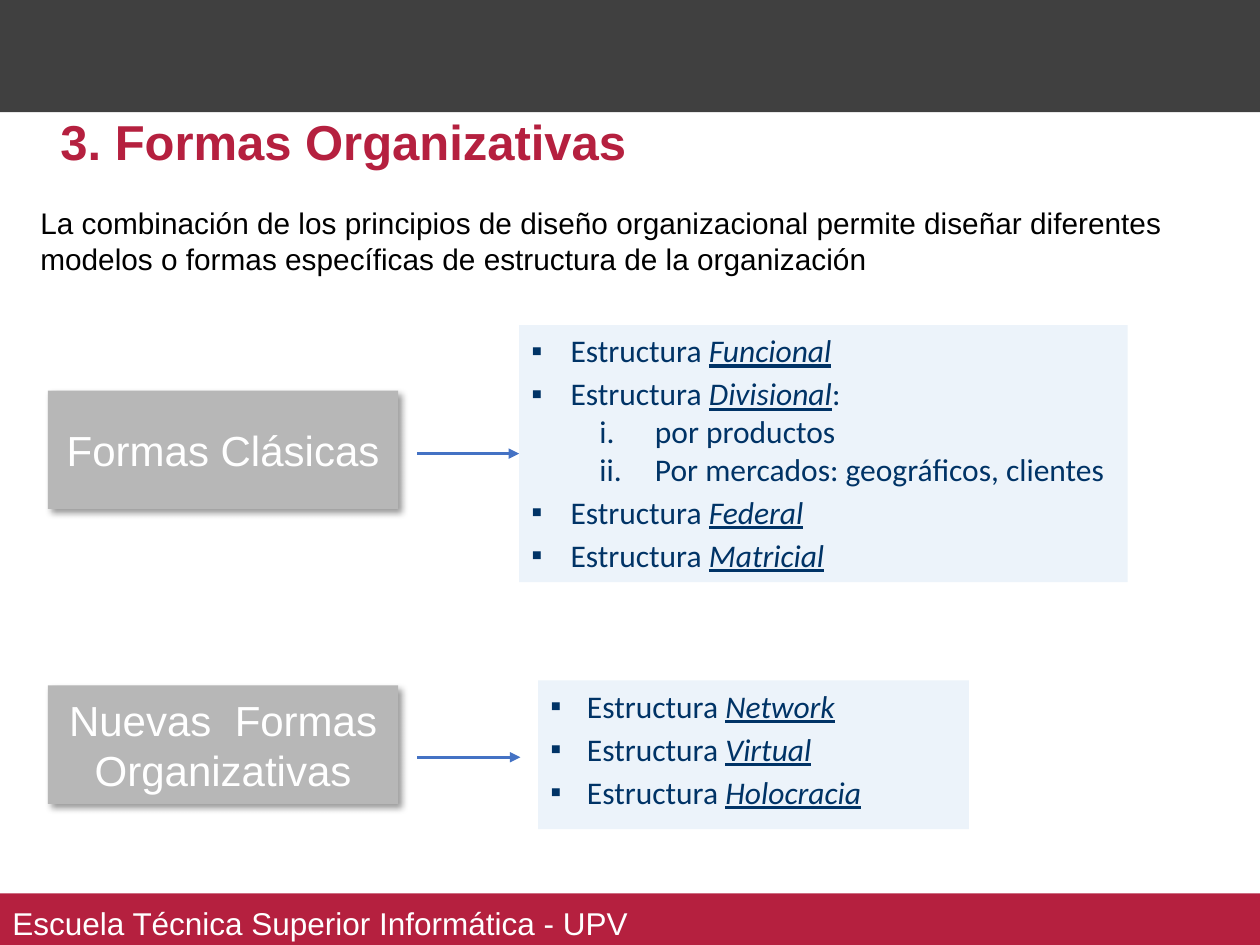
from lxml import etree
from pptx import Presentation
from pptx import util as u
from pptx.dml.color import RGBColor
from pptx.enum import shapes, text
from pptx.oxml.ns import qn

RED = RGBColor(0xB5, 0x20, 0x3F)
DARK = RGBColor(0x40, 0x40, 0x40)
GRAY = RGBColor(0xB7, 0xB7, 0xB7)
PALE = RGBColor(0xEC, 0xF3, 0xFA)
NAVY = RGBColor(0x00, 0x33, 0x66)
BLUE = RGBColor(0x44, 0x72, 0xC4)
WHITE = RGBColor(0xFF, 0xFF, 0xFF)
BLACK = RGBColor(0, 0, 0)

# Content
TITLE = "3. Formas Organizativas"
INTRO = ("La combinación de los principios de diseño organizacional permite diseñar "
         "diferentes modelos o formas específicas de estructura de la organización")
FOOT = "Escuela Técnica Superior Informática - UPV"
LEAD = "Estructura "
# Each group: label, label top, arrow height, list box, list indent, joined, items
# An item is (name, text after it, sub-items)
GROUPS = [
    ("Formas Clásicas", 3.1, 3.6, (4.12, 2.58, 4.83, 2.04), 0.31, True, [
        ("Funcional", "", []),
        ("Divisional", ":", ["por productos", "Por mercados: geográficos, clientes"]),
        ("Federal", "", []),
        ("Matricial", "", []),
    ]),
    ("Nuevas  Formas Organizativas", 5.44, 6.01, (4.27, 5.4, 3.42, 1.18), 0.29, False, [
        ("Network", "", []),
        ("Virtual", "", []),
        ("Holocracia", "", []),
    ]),
]


def place(shape, box):
    shape.left, shape.top, shape.width, shape.height = map(u.Inches, box)


def add_run(para, words, size, color, face="Arial"):
    run = para.add_run()
    run.text = words
    font = run.font
    font.size, font.name, font.color.rgb = u.Pt(size), face, color
    return font


def set_frame(shape, anchor, side=0.1, edge=0.05):
    frame = shape.text_frame
    frame.word_wrap = True
    frame.vertical_anchor = anchor
    frame.margin_left = frame.margin_right = u.Inches(side)
    frame.margin_top = frame.margin_bottom = u.Inches(edge)
    return frame


def add_rect(slide, box, fill):
    rect = slide.shapes.add_shape(shapes.MSO_SHAPE.RECTANGLE, *map(u.Inches, box))
    rect.shadow.inherit = False
    rect.fill.solid()
    rect.fill.fore_color.rgb = fill
    rect.line.fill.background()
    return rect


def add_shade(shape):
    effect = shape.element.spPr.find(qn("a:effectLst"))
    outer = etree.SubElement(effect, qn("a:outerShdw"), blurRad=str(u.Pt(4)),
                             dist=str(u.Pt(3)), dir="2700000", algn="tl", rotWithShape="0")
    color = etree.SubElement(outer, qn("a:srgbClr"), val=str(BLACK))
    etree.SubElement(color, qn("a:alpha"), val="40000")


def set_bullet(para, level, left, hang, tag, **mark):
    para.level = level
    props = para._p.get_or_add_pPr()
    props.set("marL", str(u.Inches(left)))
    props.set("indent", str(-u.Inches(hang)))
    tint = etree.SubElement(props, qn("a:buClr"))
    etree.SubElement(tint, qn("a:srgbClr"), val=str(NAVY))
    etree.SubElement(props, qn("a:buFont"), typeface="Arial" if tag == "a:buChar" else "Calibri")
    etree.SubElement(props, qn(tag), **mark)


def add_list(rect, items, hang):
    frame = set_frame(rect, text.MSO_ANCHOR.TOP)
    for i, (name, tail, subs) in enumerate(items):
        para = frame.add_paragraph() if i else frame.paragraphs[0]
        para.alignment = text.PP_ALIGN.LEFT
        set_bullet(para, 2, hang, hang, "a:buChar", char="▪")
        if i:
            para.space_before = u.Pt(3)
        add_run(para, LEAD, 18, NAVY, "Calibri")
        font = add_run(para, name, 18, NAVY, "Calibri")
        font.italic = font.underline = True
        if tail:
            add_run(para, tail, 18, NAVY, "Calibri")
        for sub in subs:
            para = frame.add_paragraph()
            para.alignment = text.PP_ALIGN.LEFT
            set_bullet(para, 6, 0.98, 0.44, "a:buAutoNum", type="romanLcPeriod")
            add_run(para, sub, 18, NAVY, "Calibri")


def add_arrow(slide, y, rect, joined):
    line = slide.shapes.add_connector(shapes.MSO_CONNECTOR.STRAIGHT, u.Inches(3.31),
                                      u.Inches(y), u.Inches(4.13), u.Inches(y))
    if joined:
        line.end_connect(rect, 1)
    line.line.color.rgb = BLUE
    line.line.width = u.Pt(1.5)
    etree.SubElement(line.line._get_or_add_ln(), qn("a:tailEnd"), type="triangle")
    etree.SubElement(line.element.spPr, qn("a:effectLst"))


def main():
    deck = Presentation()
    deck.slide_width, deck.slide_height = u.Inches(10), u.Inches(7.5)
    slide = deck.slides.add_slide(deck.slide_layouts[5])
    middle = text.MSO_ANCHOR.MIDDLE

    # Top and bottom bands
    add_rect(slide, (0, 0, 10, 0.89), DARK)
    band = add_rect(slide, (0, 7.09, 10, 0.47), RED)
    para = set_frame(band, middle, edge=0.1).paragraphs[0]
    para.alignment = text.PP_ALIGN.LEFT
    add_run(para, FOOT, 18, WHITE)

    # Title, in front of the top band
    title = slide.shapes.title
    place(title, (0.38, 0.79, 7.62, 0.72))
    title.element.getparent().append(title.element)
    para = set_frame(title, middle).paragraphs[0]
    para.alignment = text.PP_ALIGN.LEFT
    para.line_spacing = 0.9
    add_run(para, TITLE, 28, RED).bold = True

    # Introduction
    intro = slide.shapes.add_textbox(*map(u.Inches, (0.27, 1.58, 9.46, 0.67)))
    frame = set_frame(intro, text.MSO_ANCHOR.TOP, side=0.05)
    add_run(frame.paragraphs[0], INTRO, 17, BLACK)

    # Label, list and arrow of each group
    for label, top, y, box, hang, joined, items in GROUPS:
        tile = add_rect(slide, (0.38, top, 2.78, 0.94), GRAY)
        add_shade(tile)
        para = set_frame(tile, middle).paragraphs[0]
        para.alignment = text.PP_ALIGN.CENTER
        add_run(para, label, 24, WHITE)
        panel = add_rect(slide, box, PALE)
        add_list(panel, items, hang)
        add_arrow(slide, y, panel, joined)

    deck.save("out.pptx")


if __name__ == "__main__":
    main()
